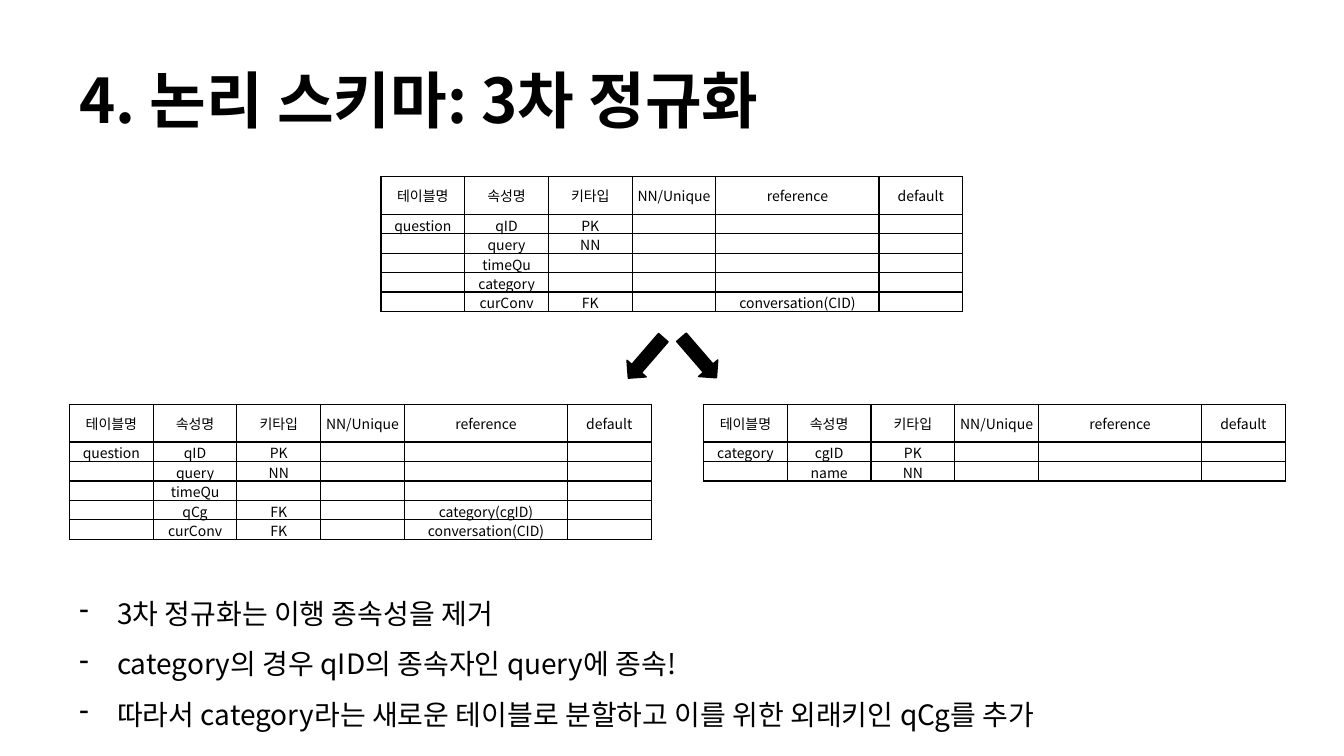
from lxml.etree import SubElement
from pptx import Presentation
from pptx.dml.color import RGBColor
from pptx.enum.shapes import MSO_SHAPE
from pptx.enum.text import MSO_ANCHOR, MSO_AUTO_SIZE, PP_ALIGN
from pptx.oxml.ns import qn
from pptx.util import Cm, Pt

FONT = "Noto Sans CJK KR"
INK = "000000"
LEFT, WIDE = 1.75, 30.38

TITLE = "4. 논리 스키마: 3차 정규화"
NOTES = [
    "3차 정규화는 이행 종속성을 제거",
    "category의 경우 qID의 종속자인 query에 종속! ",
    "따라서 category라는 새로운 테이블로 분할하고 이를 위한 외래키인 qCg를 추가",
]
HEAD = ("테이블명", "속성명", "키타입", "NN/Unique", "reference", "default")
# Each table: left, top, table name, then (attribute, key type, reference)
TABLES = [
    (9.6, 4.45, "question", [
        ("qID", "PK", ""), ("query", "NN", ""), ("timeQu", "", ""),
        ("category", "", ""), ("curConv", "FK", "conversation(CID)")]),
    (LEFT, 10.19, "question", [
        ("qID", "PK", ""), ("query", "NN", ""), ("timeQu", "", ""),
        ("qCg", "FK", "category(cgID)"),
        ("curConv", "FK", "conversation(CID)")]),
    (17.73, 10.19, "category", [("cgID", "PK", ""), ("name", "NN", "")]),
]
COLS = (2.11, 2.11, 2.11, 2.11, 4.11, 2.11)
HEAD_H, ROW_H = 0.95, 0.49
# Each arrow: left, top, turn in degrees
ARROWS = [(15.6, 8.7, 130.8), (16.94, 8.69, 49.2)]


def color(text):
    """Turn a hex string into a colour."""
    return RGBColor.from_string(text)


def style(para, size, bold=False):
    """Set the font of a paragraph for Latin and Korean text."""
    font = para.font
    font.name, font.size, font.bold = FONT, Pt(size), bold
    font.color.rgb = color(INK)
    base = para._p.get_or_add_pPr().find(qn("a:defRPr"))
    SubElement(base, qn("a:ea")).set("typeface", FONT)


def border(cell):
    """Draw a thin line on all four sides of a cell."""
    props = cell._tc.get_or_add_tcPr()
    for side in ("lnL", "lnR", "lnT", "lnB"):
        line = SubElement(props, qn("a:" + side), w=str(Pt(1)))
        fill = SubElement(line, qn("a:solidFill"))
        SubElement(fill, qn("a:srgbClr"), val=INK)


def add_grid(slide, left, top, name, attrs):
    """Add one schema table."""
    rows = [HEAD]
    for i, (attr, key, ref) in enumerate(attrs):
        rows.append(("" if i else name, attr, key, "", ref, ""))
    high = HEAD_H + ROW_H * len(attrs)
    grid = slide.shapes.add_table(len(rows), len(COLS), Cm(left), Cm(top),
                                  Cm(sum(COLS)), Cm(high)).table
    grid.first_row = grid.horz_banding = False
    for col, width in zip(grid.columns, COLS):
        col.width = Cm(width)
    for r, row in enumerate(rows):
        grid.rows[r].height = Cm(ROW_H if r else HEAD_H)
        for c, text in enumerate(row):
            cell = grid.cell(r, c)
            cell.text = text
            cell.vertical_anchor = MSO_ANCHOR.MIDDLE
            cell.margin_left = cell.margin_right = cell.margin_top = Cm(0.02)
            cell.margin_bottom = Cm(0)
            border(cell)
            cell.fill.background()
            para = cell.text_frame.paragraphs[0]
            para.alignment = PP_ALIGN.CENTER
            style(para, 10)


def add_title(slide):
    """Fill and place the title."""
    title = slide.shapes.title
    title.left, title.top = Cm(LEFT), Cm(0.76)
    title.width, title.height = Cm(WIDE), Cm(3.68)
    frame = title.text_frame
    frame.text = TITLE
    frame.vertical_anchor = MSO_ANCHOR.MIDDLE
    para = frame.paragraphs[0]
    para.alignment = PP_ALIGN.LEFT
    para.line_spacing = 0.9
    style(para, 44, True)


def add_notes(slide):
    """Add the dashed list at the foot."""
    box = slide.shapes.add_textbox(Cm(LEFT), Cm(14.48), Cm(WIDE), Cm(3.99))
    frame = box.text_frame
    frame.word_wrap = True
    frame.auto_size = MSO_AUTO_SIZE.SHAPE_TO_FIT_TEXT
    frame.text = "\n".join(NOTES)
    for para in frame.paragraphs:
        props = para._p.get_or_add_pPr()
        props.set("marL", str(Cm(0.95)))
        props.set("indent", str(-Cm(0.95)))
        SubElement(props, qn("a:buChar"), char="-")
        para.line_spacing = 1.5
        style(para, 20)


def add_arrow(slide, left, top, turn):
    """Add one block arrow."""
    arrow = slide.shapes.add_shape(MSO_SHAPE.RIGHT_ARROW, Cm(left), Cm(top),
                                   Cm(1.35), Cm(0.64))
    arrow.rotation = turn
    arrow.shadow.inherit = False
    arrow.fill.solid()
    arrow.fill.fore_color.rgb = color(INK)
    arrow.line.color.rgb = color(INK)
    arrow.line.width = Pt(1)


deck = Presentation()
deck.slide_width, deck.slide_height = Cm(33.87), Cm(19.05)
slide = deck.slides.add_slide(deck.slide_layouts[5])
add_title(slide)
add_notes(slide)
for table in TABLES:
    add_grid(slide, *table)
for arrow in ARROWS:
    add_arrow(slide, *arrow)
deck.save("out.pptx")
